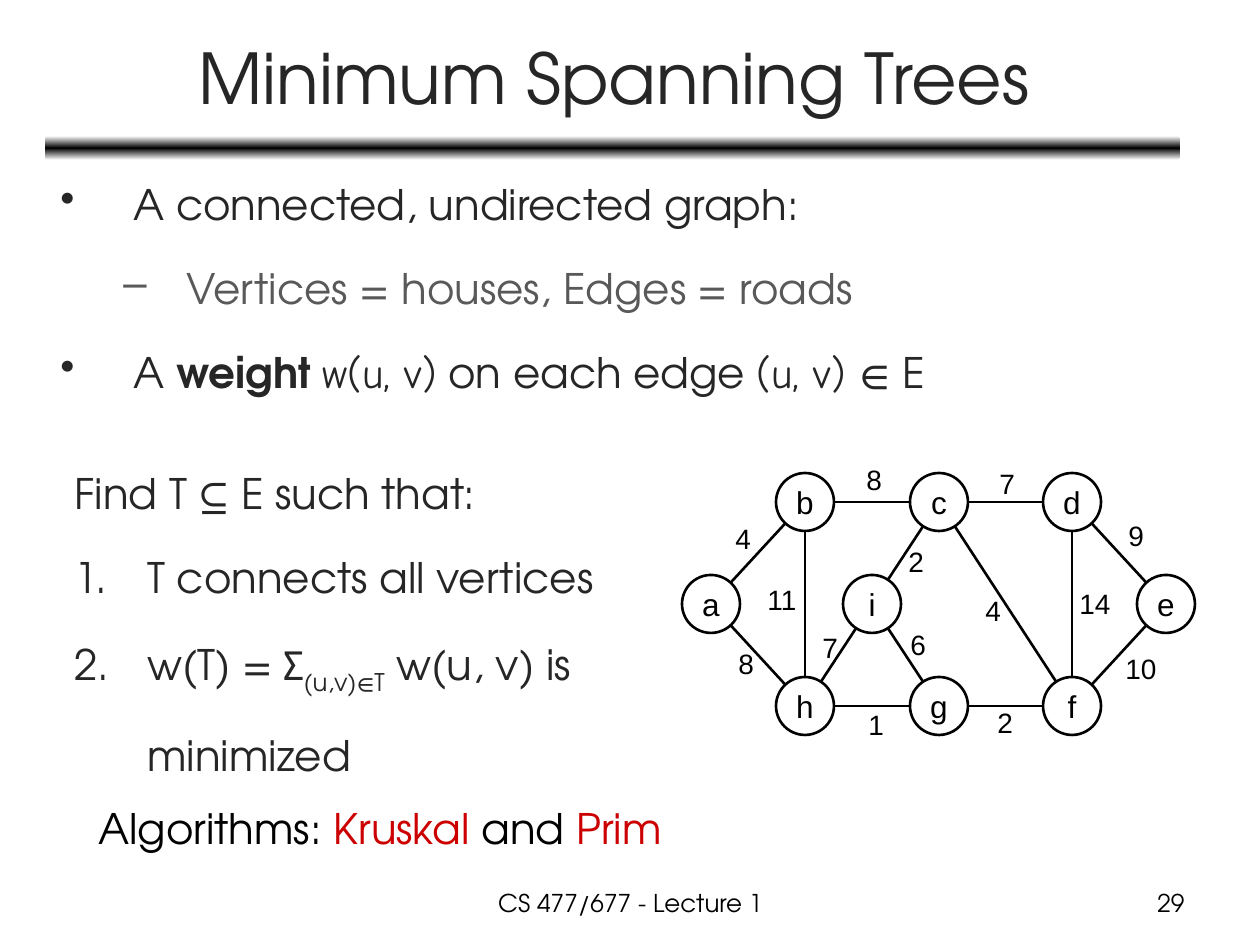
from copy import deepcopy
from math import hypot
from lxml.etree import SubElement
from pptx import Presentation
from pptx.dml.color import RGBColor
from pptx.enum.shapes import MSO_CONNECTOR as Connector, MSO_SHAPE as Shape
from pptx.enum.text import MSO_ANCHOR as Anchor, PP_ALIGN as Align
from pptx.oxml.ns import qn
from pptx.util import Emu, Pt

SCALE = 914400 / 126
HEADING = "TeX Gyre Adventor"
FORMULA = "Comic Neue"
LABEL = "Arial"
BLACK, DARK, GREY, RED = "000000", "262626", "595959", "CC0000"
DOT, DASH, NUMBER = ("buChar", "char", "•"), ("buChar", "char", "–"), ("buAutoNum", "type", "arabicPeriod")

TITLE = "Minimum Spanning Trees"
FOOTER = "CS 477/677 - Lecture 1"
PAGE = "29"
GRAPH_POINTS = [
    (["A connected, undirected graph:"], DOT, 73, -73, DARK),
    (["Vertices = houses, Edges = roads"], DASH, 126, -63, GREY),
    (["A ", ("weight ", {"bold": True}), ("w(u, v)", {"name": FORMULA}), " on each edge ",
      ("(u, v) ", {"name": FORMULA}), "∈ E"], DOT, 73, -73, DARK),
]
CONDITIONS = [
    (["Find T ⊆ E such that:"], None, 73, -73, DARK),
    (["T connects all vertices"], NUMBER, 73, -73, DARK),
    (["w(T) = Σ", ("(u,v)∈T", {"baseline": -25000}), " w(u, v) is"], NUMBER, 73, -73, DARK),
    (["minimized"], None, 73, 0, DARK),
]
ALGORITHMS = ["Algorithms: ", ("Kruskal", {"color": RED}), " and ", ("Prim", {"color": RED})]

DIAMETER = 58
NODES = {
    "a": (711, 604), "b": (805, 502), "c": (939, 502), "d": (1072, 502), "e": (1166, 604),
    "h": (805, 706), "g": (939, 706), "f": (1072, 706), "i": (872, 604),
}
EDGES = [
    ("a", "b", "4", 723, 515), ("b", "c", "8", 854, 456), ("c", "d", "7", 987, 460),
    ("a", "h", "8", 726, 640), ("b", "h", "11", 755, 576), ("h", "g", "1", 856, 701),
    ("g", "f", "2", 985, 699), ("h", "i", "7", 810, 624), ("i", "c", "2", 896, 538),
    ("c", "f", "4", 973, 587), ("d", "f", "14", 1067, 580), ("d", "e", "9", 1116, 512),
    ("f", "e", "10", 1113, 645), ("i", "g", "6", 898, 621),
]


def px(length):
    return Emu(round(length * SCALE))


def rgb(value):
    return RGBColor.from_string(value)


def style(font, size=None, name=None, color=None, bold=None):
    if size:
        font.size = Pt(size)
    if name:
        font.name = name
    if color:
        font.color.rgb = rgb(color)
    if bold is not None:
        font.bold = bold


def write(paragraph, pieces, size, name, color, align=Align.LEFT):
    paragraph.alignment = align
    mixed = {key for piece in pieces if isinstance(piece, tuple) for key in piece[1]}
    common = {"size": size, "name": name, "color": color}
    style(paragraph.font, **{key: common[key] for key in common if key not in mixed})
    for piece in pieces:
        words, changes = piece if isinstance(piece, tuple) else (piece, {})
        run = paragraph.add_run()
        run.text = words
        look = {key: common.get(key) for key in mixed} | changes
        baseline = look.pop("baseline", None)
        style(run.font, **look)
        if baseline:
            run._r.get_or_add_rPr().set("baseline", str(baseline))


def text_frame(left, top, width, height, wrap=True, anchor=Anchor.TOP):
    frame = slide.shapes.add_textbox(px(left), px(top), px(width), px(height)).text_frame
    frame.word_wrap = wrap
    frame.vertical_anchor = anchor
    return frame


def write_list(frame, items):
    for index, (pieces, bullet, margin, indent, color) in enumerate(items):
        paragraph = frame.add_paragraph() if index else frame.paragraphs[0]
        paragraph.line_spacing = 1.5
        if index:
            paragraph.space_before = Pt(4.8)
        properties = paragraph._p.get_or_add_pPr()
        properties.set("marL", str(px(margin)))
        properties.set("indent", str(px(indent)))
        if bullet:
            tag, attribute, value = bullet
            SubElement(properties, qn("a:" + tag)).set(attribute, value)
        write(paragraph, pieces, 24, HEADING, color)


def draw_rule():
    bar = slide.shapes.add_shape(Shape.ROUNDED_RECTANGLE, px(45), px(136), px(1135), px(24))
    bar.shadow.inherit = False
    bar.line.fill.background()
    bar.fill.gradient()
    bar.fill.gradient_angle = 90
    stop_list = bar._element.spPr.find(qn("a:gradFill")).find(qn("a:gsLst"))
    stop_list.append(deepcopy(stop_list[-1]))
    for stop, (position, color) in zip(bar.fill.gradient_stops, [(0, "FFFFFF"), (0.5, BLACK), (1, "FFFFFF")]):
        stop.position = position
        stop.color.rgb = rgb(color)


def draw_node(name, x, y):
    corner = DIAMETER / 2
    node = slide.shapes.add_shape(Shape.OVAL, px(x - corner), px(y - corner), px(DIAMETER), px(DIAMETER))
    node.shadow.inherit = False
    node.fill.background()
    node.line.color.rgb = rgb(BLACK)
    node.line.width = Pt(1.5)
    node.text_frame.word_wrap = False
    node.text_frame.vertical_anchor = Anchor.MIDDLE
    write(node.text_frame.paragraphs[0], [name], 18, LABEL, BLACK, Align.CENTER)


def draw_edge(start, end):
    (x1, y1), (x2, y2) = NODES[start], NODES[end]
    reach = DIAMETER / 2 / hypot(x2 - x1, y2 - y1)
    dx, dy = (x2 - x1) * reach, (y2 - y1) * reach
    edge = slide.shapes.add_connector(Connector.STRAIGHT, px(x1 + dx), px(y1 + dy), px(x2 - dx), px(y2 - dy))
    edge.line.color.rgb = rgb(BLACK)
    edge.line.width = Pt(1.5)
    SubElement(edge._element.spPr, qn("a:effectLst"))


presentation = Presentation()
presentation.slide_width, presentation.slide_height = px(1260), px(945)
slide = presentation.slides.add_slide(presentation.slide_layouts[6])

draw_rule()
write(text_frame(431, 882, 399, 44).paragraphs[0], [FOOTER], 14, HEADING, BLACK, Align.CENTER)
write(text_frame(903, 882, 294, 44).paragraphs[0], [PAGE], 14, HEADING, BLACK, Align.RIGHT)
write(text_frame(47, 14, 1134, 125, anchor=Anchor.MIDDLE).paragraphs[0], [TITLE], 40, HEADING, DARK, Align.CENTER)
write_list(text_frame(48, 147, 1121, 290), GRAPH_POINTS)

for name, (x, y) in NODES.items():
    draw_node(name, x, y)
for start, end, weight, left, top in EDGES:
    draw_edge(start, end)
    label = text_frame(left, top, 40 if len(weight) == 1 else 57, 46, wrap=False)
    write(label.paragraphs[0], [weight], 16, LABEL, BLACK)

write_list(text_frame(62, 436, 1164, 287), CONDITIONS)
write(text_frame(86, 796, 612, 63, wrap=False).paragraphs[0], ALGORITHMS, 24, HEADING, BLACK)

presentation.save("out.pptx")
